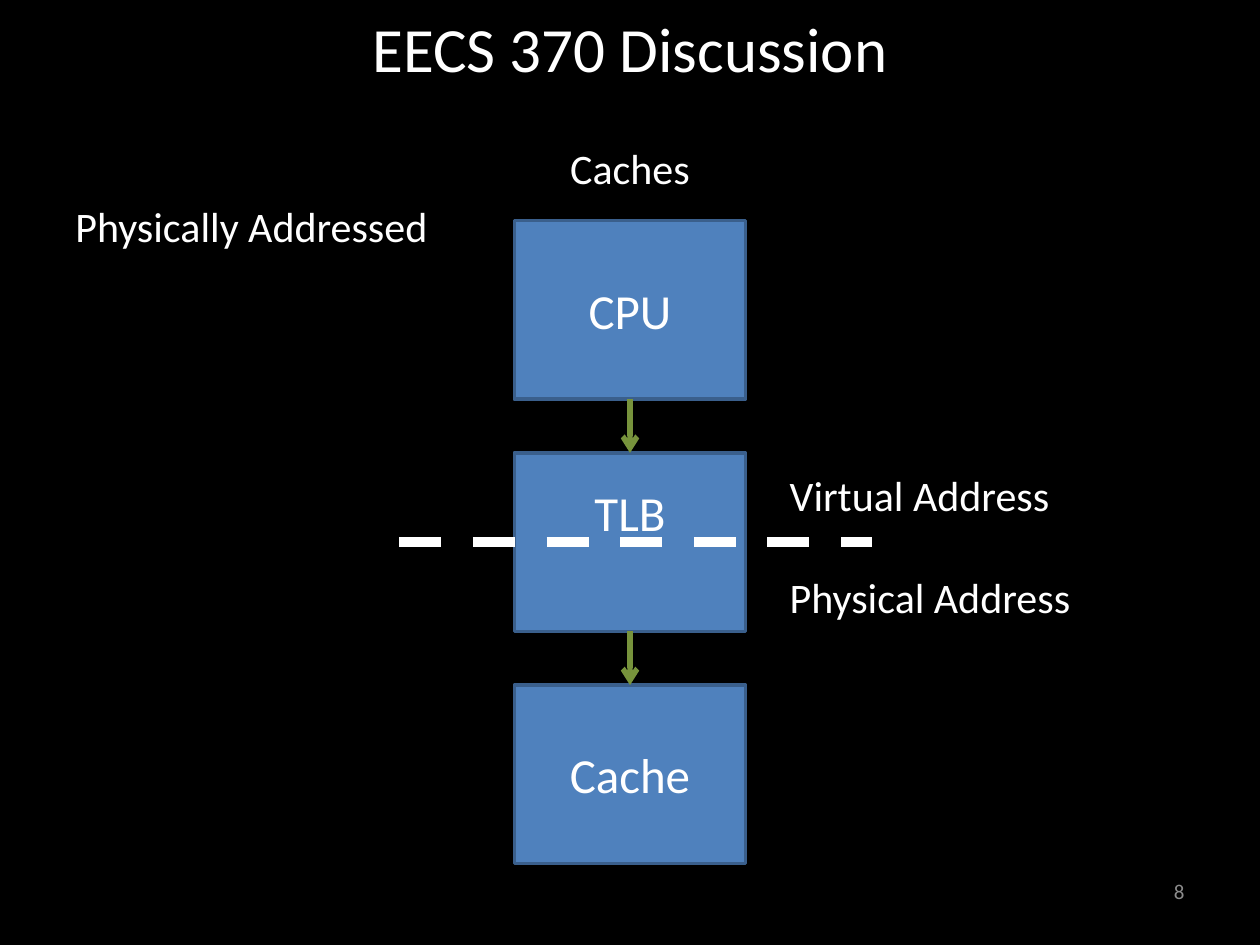
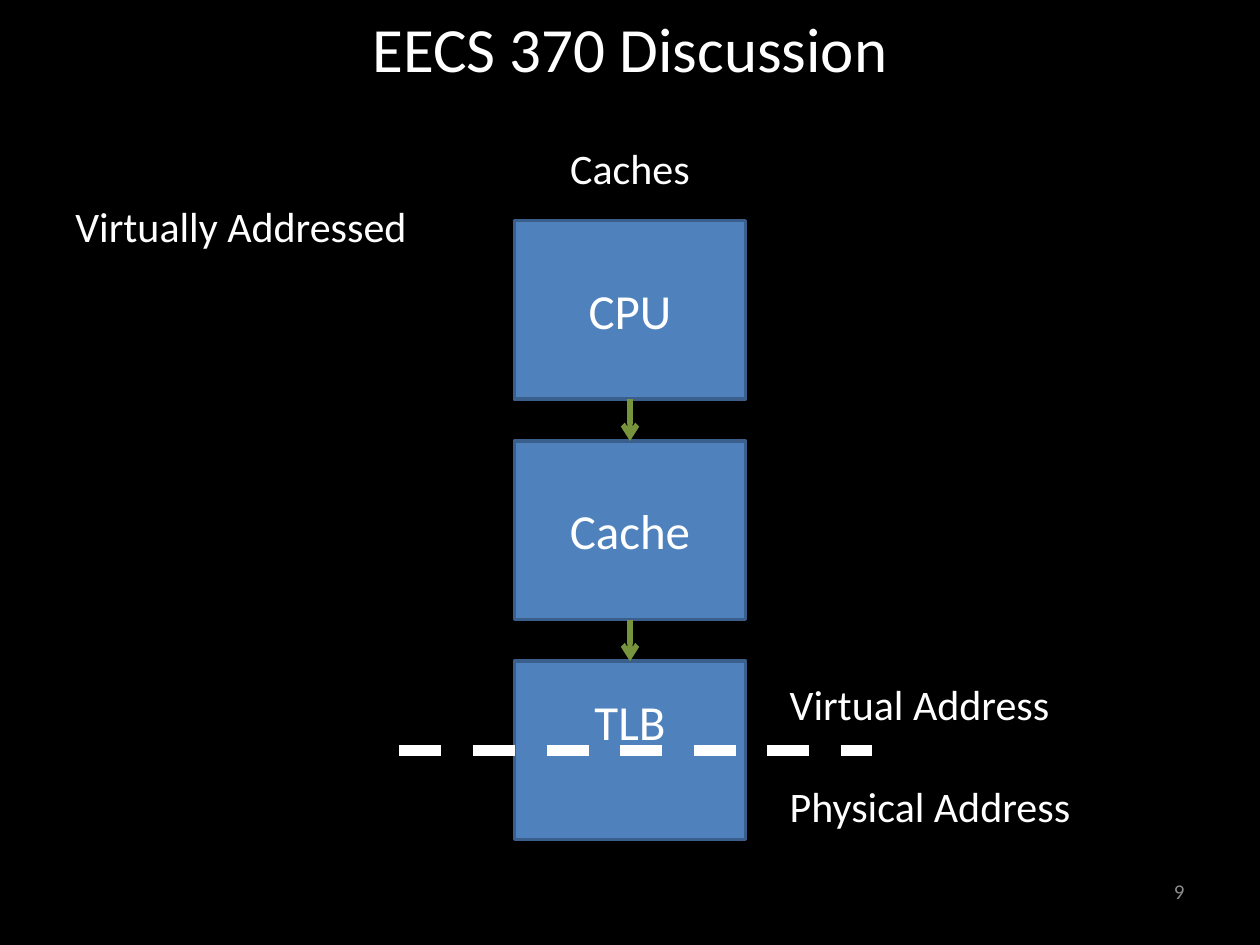
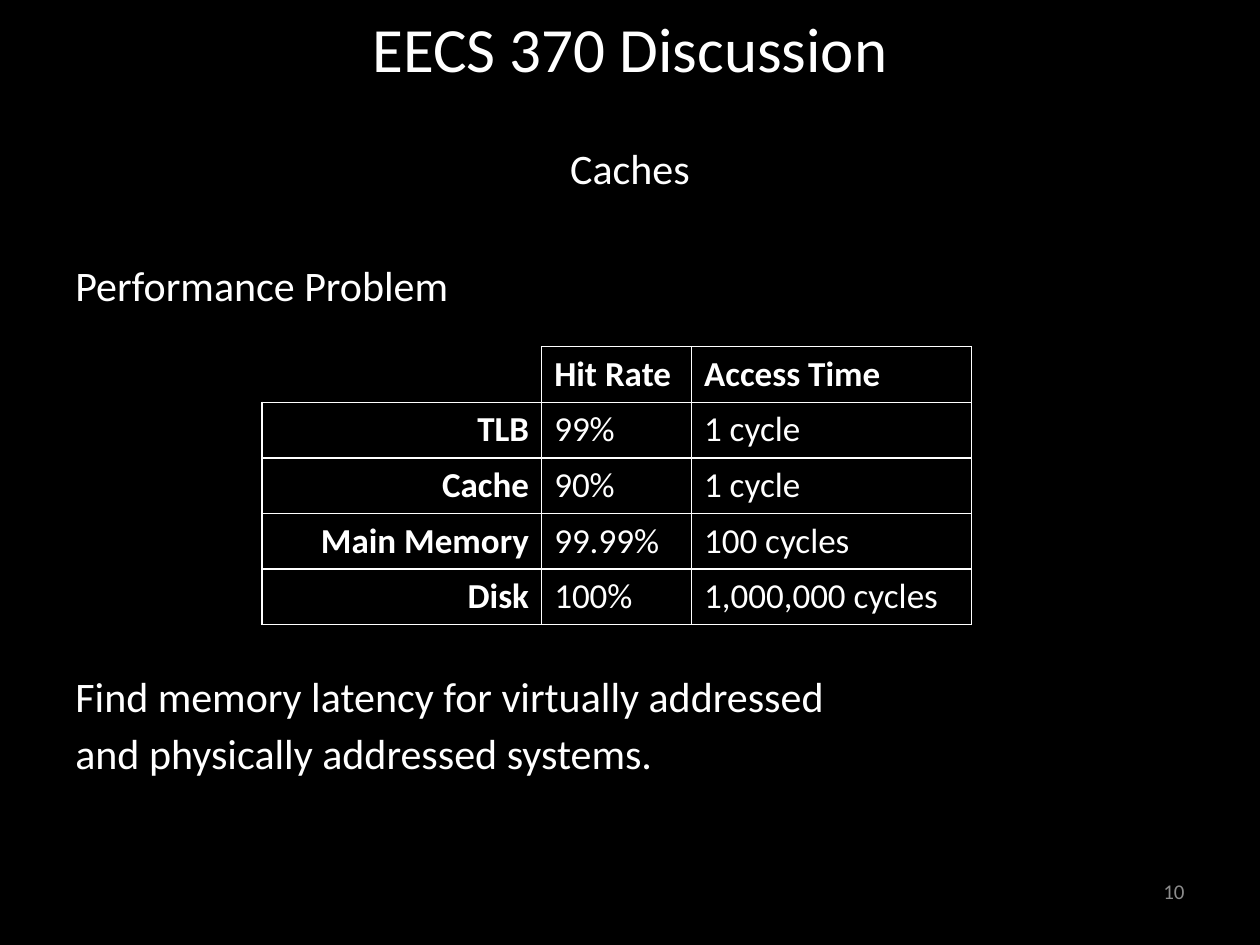
from dataclasses import dataclass

from lxml import etree
from pptx import Presentation
from pptx import util as u
from pptx.dml.color import RGBColor
from pptx.enum import dml, shapes, text
from pptx.oxml import ns


@dataclass(frozen=True)
class Theme:
    font: str = "Calibri"
    background: str = "000000"
    ink: str = "FFFFFF"
    muted: str = "8C8C8C"
    block: str = "4F81BD"
    block_edge: str = "3A5F8C"
    flow: str = "77933C"
    title_size: float = 36
    body_size: float = 24
    block_size: float = 28
    table_size: float = 20
    number_size: float = 12
    line_height: float = 29.3
    paragraph_gap: float = 4.3


THEME = Theme()
LEFT, CENTER, RIGHT = text.PP_ALIGN.LEFT, text.PP_ALIGN.CENTER, text.PP_ALIGN.RIGHT
TOP, MIDDLE = text.MSO_ANCHOR.TOP, text.MSO_ANCHOR.MIDDLE

BLOCK_LEFT, BLOCK_TOP = 10.37, 4.45
BLOCK_WIDTH, BLOCK_HEIGHT = 4.66, 3.6
BLOCK_CENTER = BLOCK_LEFT + BLOCK_WIDTH / 2

MEMORY_LEVELS = [
    ("", "Hit Rate", "Access Time"),
    ("TLB", "99%", "1 cycle"),
    ("Cache", "90%", "1 cycle"),
    ("Main Memory", "99.99%", "100 cycles"),
    ("Disk", "100%", "1,000,000 cycles"),
]


def rgb(color):
    return RGBColor.from_string(color)


def write(frame, content, *, size=THEME.body_size, color=THEME.ink, bold=False,
          align=LEFT, before=0, first=True):
    paragraph = frame.paragraphs[0] if first else frame.add_paragraph()
    paragraph.alignment = align
    paragraph.space_before = u.Pt(before)
    run = paragraph.add_run()
    run.text = content
    run.font.name = THEME.font
    run.font.size = u.Pt(size)
    run.font.bold = bold
    run.font.color.rgb = rgb(color)


def add_frame(slide, left, top, width, height, anchor=TOP):
    frame = slide.shapes.add_textbox(u.Cm(left), u.Cm(top), u.Cm(width), u.Cm(height)).text_frame
    frame.word_wrap = True
    frame.vertical_anchor = anchor
    return frame


def gap_after(skipped_lines):
    return THEME.paragraph_gap + skipped_lines * (THEME.line_height + THEME.paragraph_gap)


def add_page(deck, number, lines):
    slide = deck.slides.add_slide(deck.slide_layouts[6])
    slide.background.fill.solid()
    slide.background.fill.fore_color.rgb = rgb(THEME.background)
    title = add_frame(slide, 1.27, -0.64, 22.86, 3.18, MIDDLE)
    write(title, "EECS 370 Discussion", size=THEME.title_size, align=CENTER)
    body = add_frame(slide, 1.27, 2.75, 22.86, 15.03)
    write(body, "Caches", align=CENTER, before=gap_after(0))
    for line, skipped_lines in lines:
        write(body, line, before=gap_after(skipped_lines), first=False)
    footer = add_frame(slide, 18.2, 17.45, 5.93, 1.01, MIDDLE)
    write(footer, str(number), size=THEME.number_size, color=THEME.muted, align=RIGHT)
    return slide


def add_block(slide, label, top):
    block = slide.shapes.add_shape(shapes.MSO_SHAPE.RECTANGLE, u.Cm(BLOCK_LEFT), u.Cm(top),
                                   u.Cm(BLOCK_WIDTH), u.Cm(BLOCK_HEIGHT))
    block.shadow.inherit = False
    block.fill.solid()
    block.fill.fore_color.rgb = rgb(THEME.block)
    block.line.color.rgb = rgb(THEME.block_edge)
    block.line.width = u.Pt(2)
    block.text_frame.vertical_anchor = MIDDLE
    write(block.text_frame, label, size=THEME.block_size, align=CENTER)
    return block


def add_line(slide, start, end, color, width):
    line = slide.shapes.add_connector(shapes.MSO_CONNECTOR.STRAIGHT,
                                      *(u.Cm(value) for value in (*start, *end)))
    line.line.color.rgb = rgb(color)
    line.line.width = u.Pt(width)
    etree.SubElement(line._element.spPr, ns.qn("a:effectLst"))
    return line


def add_flow(slide, top, bottom):
    flow = add_line(slide, (BLOCK_CENTER, top), (BLOCK_CENTER, bottom), THEME.flow, 3)
    etree.SubElement(flow.line._get_or_add_ln(), ns.qn("a:tailEnd"), type="arrow")


def add_address_boundary(slide, tlb_top):
    middle = tlb_top + BLOCK_HEIGHT / 2
    boundary = add_line(slide, (8.05, middle), (17.58, middle), THEME.ink, 6)
    boundary.line.dash_style = dml.MSO_LINE.DASH
    sides = add_frame(slide, 15.67, tlb_top + 0.22, 6.99, 3.33)
    write(sides, "Virtual Address")
    write(sides, "Physical Address", before=THEME.line_height, first=False)


def add_memory_path(slide, stages, pitch):
    tops = [BLOCK_TOP + index * pitch for index in range(len(stages))]
    for stage, top in zip(stages, tops):
        block = add_block(slide, stage, top)
        if stage == "TLB":
            block.text_frame.margin_bottom = u.Cm(1.33)
    for top, following in zip(tops, tops[1:]):
        add_flow(slide, top + BLOCK_HEIGHT, following)
    add_address_boundary(slide, tops[stages.index("TLB")])


def set_borders(cell, visible):
    properties = cell._tc.get_or_add_tcPr()
    for position, side in enumerate("LRTB"):
        border = etree.Element(ns.qn(f"a:ln{side}"), w=str(u.Pt(1)))
        if side in visible:
            fill = etree.SubElement(border, ns.qn("a:solidFill"))
            etree.SubElement(fill, ns.qn("a:srgbClr"), val=THEME.ink)
        else:
            etree.SubElement(border, ns.qn("a:noFill"))
        properties.insert(position, border)


def add_latency_table(slide, rows, left, top, widths, row_height):
    table = slide.shapes.add_table(len(rows), len(widths), u.Cm(left), u.Cm(top),
                                   u.Cm(sum(widths)), u.Cm(row_height * len(rows))).table
    table.first_row = table.horz_banding = False
    for column, width in zip(table.columns, widths):
        column.width = u.Cm(width)
    for row_index, row in enumerate(rows):
        table.rows[row_index].height = u.Cm(row_height)
        for column_index, value in enumerate(row):
            cell = table.cell(row_index, column_index)
            cell.fill.background()
            set_borders(cell, "LRTB" if value else "RB")
            if value:
                write(cell.text_frame, value, size=THEME.table_size,
                      bold=row_index == 0 or column_index == 0,
                      align=RIGHT if column_index == 0 else LEFT)


def main():
    deck = Presentation()
    deck.slide_width, deck.slide_height = u.Cm(25.4), u.Cm(19.05)

    physical = add_page(deck, 8, [("Physically Addressed", 0)])
    add_memory_path(physical, ["CPU", "TLB", "Cache"], pitch=4.68)

    virtual = add_page(deck, 9, [("Virtually Addressed", 0)])
    add_memory_path(virtual, ["CPU", "Cache", "TLB"], pitch=4.44)

    problem = add_page(deck, 10, [
        ("Performance Problem", 1),
        ("Find memory latency for virtually addressed", 6),
        ("and physically addressed systems.", 0),
    ])
    add_latency_table(problem, MEMORY_LEVELS, 5.28, 6.99, [5.64, 3.02, 5.64], 1.12)

    deck.save("out.pptx")


if __name__ == "__main__":
    main()
